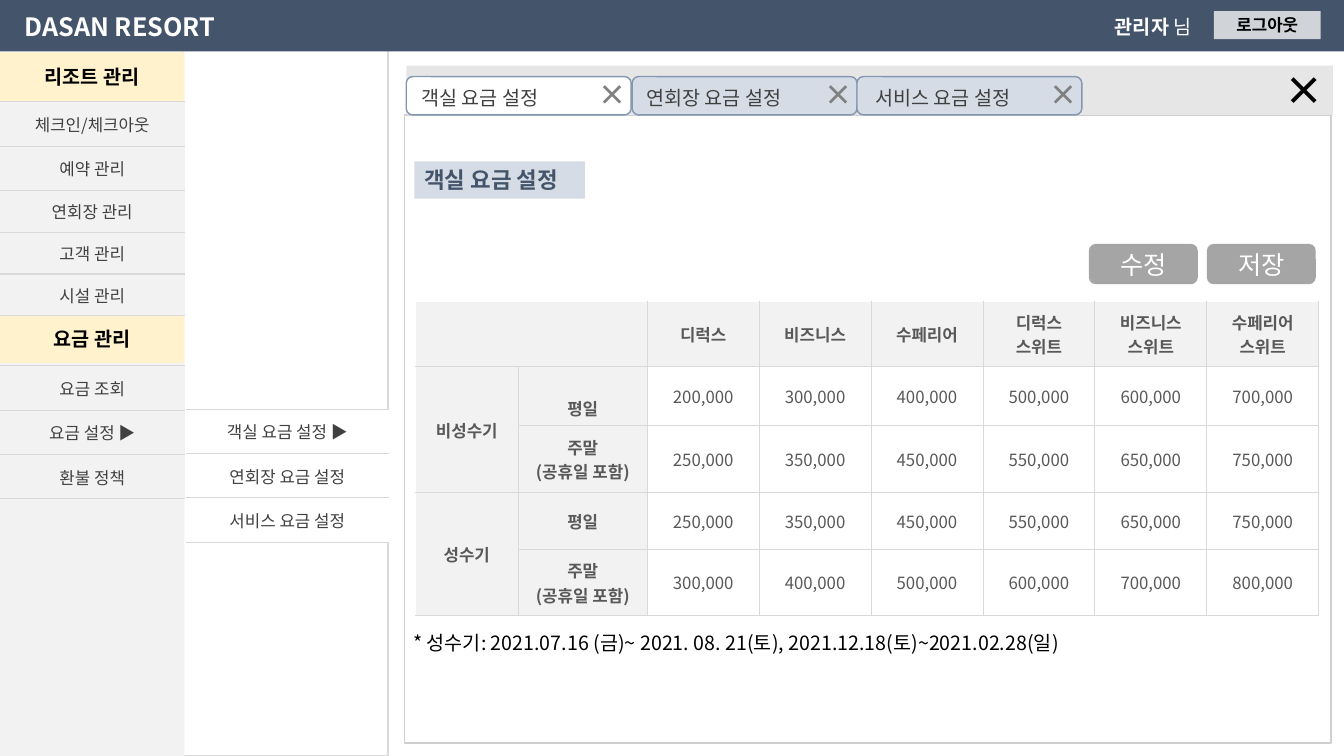
from lxml import etree
from pptx import Presentation
from pptx import util as u
from pptx.dml import color
from pptx.enum import shapes, text
from pptx.oxml import ns

PX = 9144
FONT = "Noto Sans CJK KR"
RECT = shapes.MSO_SHAPE.RECTANGLE
ROUND = shapes.MSO_SHAPE.ROUNDED_RECTANGLE
LEFT, CENTER = text.PP_ALIGN.LEFT, text.PP_ALIGN.CENTER
MIDDLE = text.MSO_ANCHOR.MIDDLE
rgb = color.RGBColor.from_string

deck = Presentation()
deck.slide_width, deck.slide_height = 1333 * PX, 750 * PX
slide = deck.slides.add_slide(deck.slide_layouts[5])


def write(frame, words, size, ink, bold=False, align=CENTER):
    frame.word_wrap = True
    for i, line in enumerate(words.split("\n")):
        paragraph = frame.paragraphs[0] if i == 0 else frame.add_paragraph()
        paragraph.text = line
        paragraph.alignment = align
        font = paragraph.font
        font.name, font.size, font.bold = FONT, u.Pt(size), bold
        font.color.rgb = rgb(ink)
        defaults = paragraph._p.pPr.find(ns.qn("a:defRPr"))
        etree.SubElement(defaults, ns.qn("a:ea"), typeface=FONT)


def box(place, fill=None, line=None, kind=RECT):
    place = [n * PX for n in place]
    if fill is None:
        return slide.shapes.add_textbox(*place)
    shape = slide.shapes.add_shape(kind, *place)
    shape.shadow.inherit = False
    shape.fill.solid()
    shape.fill.fore_color.rgb = rgb(fill)
    if line:
        shape.line.color.rgb = rgb(line)
        shape.line.width = u.Pt(1)
    else:
        shape.line.fill.background()
    shape.text_frame.vertical_anchor = MIDDLE
    return shape


box((181, 50, 204, 700), "FFFFFF", "D9D9D9")
box((0, 52, 183, 698), "F2F2F2")
for top, section in ((52, "리조트 관리"), (312, "요금 관리")):
    write(box((0, top, 183, 48), "FFF2CC").text_frame, section, 14, "000000", True)

box((0, 0, 1333, 51), "44546A")
write(box((0, 6, 238, 40)).text_frame, "DASAN RESORT", 18, "FFFFFF", True)
user = box((1096, 10, 120, 34)).text_frame
write(user, "관리자", 14, "FFFFFF", align=LEFT)
user.paragraphs[0].runs[0].font.bold = True
user.paragraphs[0].add_run().text = " 님"
logout = box((1204, 11, 106, 28), "FFFFFF")
tint = logout._element.spPr.find(".//" + ns.qn("a:srgbClr"))
etree.SubElement(tint, ns.qn("a:alpha"), val="75000")
write(logout.text_frame, "로그아웃", 12, "000000", True)

box((401, 114, 919, 623), "FFFFFF", "D0CECE")
box((403, 65, 919, 49), "E7E6E6")
tabs = (
    (403, 408, "객실 요금 설정", "FFFFFF"),
    (627, 631, "연회장 요금 설정", "D6DCE5"),
    (850, 858, "서비스 요금 설정", "D6DCE5"),
)
for left, label_left, label, fill in tabs:
    box((left, 76, 223, 38), fill, "8497B0", ROUND)
    write(box((left + 181, 72, 48, 44)).text_frame, "×", 20, "808080", True, LEFT)
    write(box((label_left, 80, 172, 34)).text_frame, label, 14, "404040", align=LEFT)
write(box((1264, 61, 69, 57)).text_frame, "×", 28, "000000", True, LEFT)

for left, action in ((1080, "수정"), (1197, "저장")):
    write(box((left, 242, 108, 40), "A5A5A5", kind=ROUND).text_frame, action, 18, "FFFFFF")
write(box((400, 621, 718, 34)).text_frame,
      "* 성수기: 2021.07.16 (금)~ 2021. 08. 21(토), 2021.12.18(토)~2021.02.28(일)",
      14, "000000", align=LEFT)

resort_menu = ["체크인/체크아웃", "예약 관리", "연회장 관리", "고객 관리", "시설 관리"]
fee_menu = ["요금 조회", "요금 설정 ▶", "환불 정책"]
fee_submenu = ["객실 요금 설정 ▶", "연회장 요금 설정", "서비스 요금 설정"]
weekend = "주말\n(공휴일 포함)"
seasons = (
    ("비성수기", "평일", 200),
    ("", weekend, 250),
    ("성수기", "평일", 250),
    ("", weekend, 300),
)
prices = [["", "", "디럭스", "비즈니스", "수페리어",
           "디럭스\n스위트", "비즈니스\n스위트", "수페리어\n스위트"]]
for season, day, base in seasons:
    prices.append([season, day] + [f"{base + 100 * grade},000" for grade in range(6)])

tables = (
    (0, 101, [183], [44, 44, 42, 41, 41], [[item] for item in resort_menu], "F2F2F2"),
    (0, 363, [183], [44] * 3, [[item] for item in fee_menu], "F2F2F2"),
    (184, 406, [202], [44] * 3, [[item] for item in fee_submenu], "FFFFFF"),
    (412, 299, [102, 128] + [111] * 6, [65, 58, 67, 56, 66], prices, "FFFFFF"),
)
for left, top, widths, heights, rows, base_fill in tables:
    is_menu = len(widths) == 1
    grid = slide.shapes.add_table(len(rows), len(widths), left * PX, top * PX,
                                  sum(widths) * PX, sum(heights) * PX).table
    grid.first_row = grid.horz_banding = False
    for column, width in zip(grid.columns, widths):
        column.width = width * PX
    for row, height in zip(grid.rows, heights):
        row.height = height * PX
    for r, row in enumerate(rows):
        for c, words in enumerate(row):
            cell = grid.cell(r, c)
            heading = not is_menu and (r == 0 or c < 2)
            cell.fill.solid()
            cell.fill.fore_color.rgb = rgb("F2F2F2" if heading else base_fill)
            cell.vertical_anchor = MIDDLE
            if words:
                write(cell.text_frame, words, 12, "404040" if is_menu else "595959", heading)
            for i, side in enumerate("LRTB"):
                outer = (side == "L" and c == 0) or (side == "T" and r == 0)
                edge = etree.Element(ns.qn("a:ln" + side), w="12700" if is_menu or outer else "9525")
                cell._tc.get_or_add_tcPr().insert(i, edge)
                if is_menu and side in "LR":
                    etree.SubElement(edge, ns.qn("a:noFill"))
                else:
                    paint = etree.SubElement(edge, ns.qn("a:solidFill"))
                    etree.SubElement(paint, ns.qn("a:srgbClr"),
                                     val="FFFFFF" if outer and not is_menu else "D9D9D9")

grid.cell(1, 1).margin_top = 29 * PX
for first, last in (((0, 0), (0, 1)), ((1, 0), (2, 0)), ((3, 0), (4, 0))):
    grid.cell(*first).merge(grid.cell(*last))

heading = slide.shapes.title
heading.left, heading.top, heading.width, heading.height = [n * PX for n in (411, 160, 169, 37)]
heading.fill.solid()
heading.fill.fore_color.rgb = rgb("D6DCE5")
heading.text_frame.vertical_anchor = text.MSO_ANCHOR.TOP
heading.text_frame.auto_size = text.MSO_AUTO_SIZE.NONE
write(heading.text_frame, "객실 요금 설정", 16, "44546A", True, LEFT)
slide.shapes._spTree.append(heading._element)

deck.save("out.pptx")
